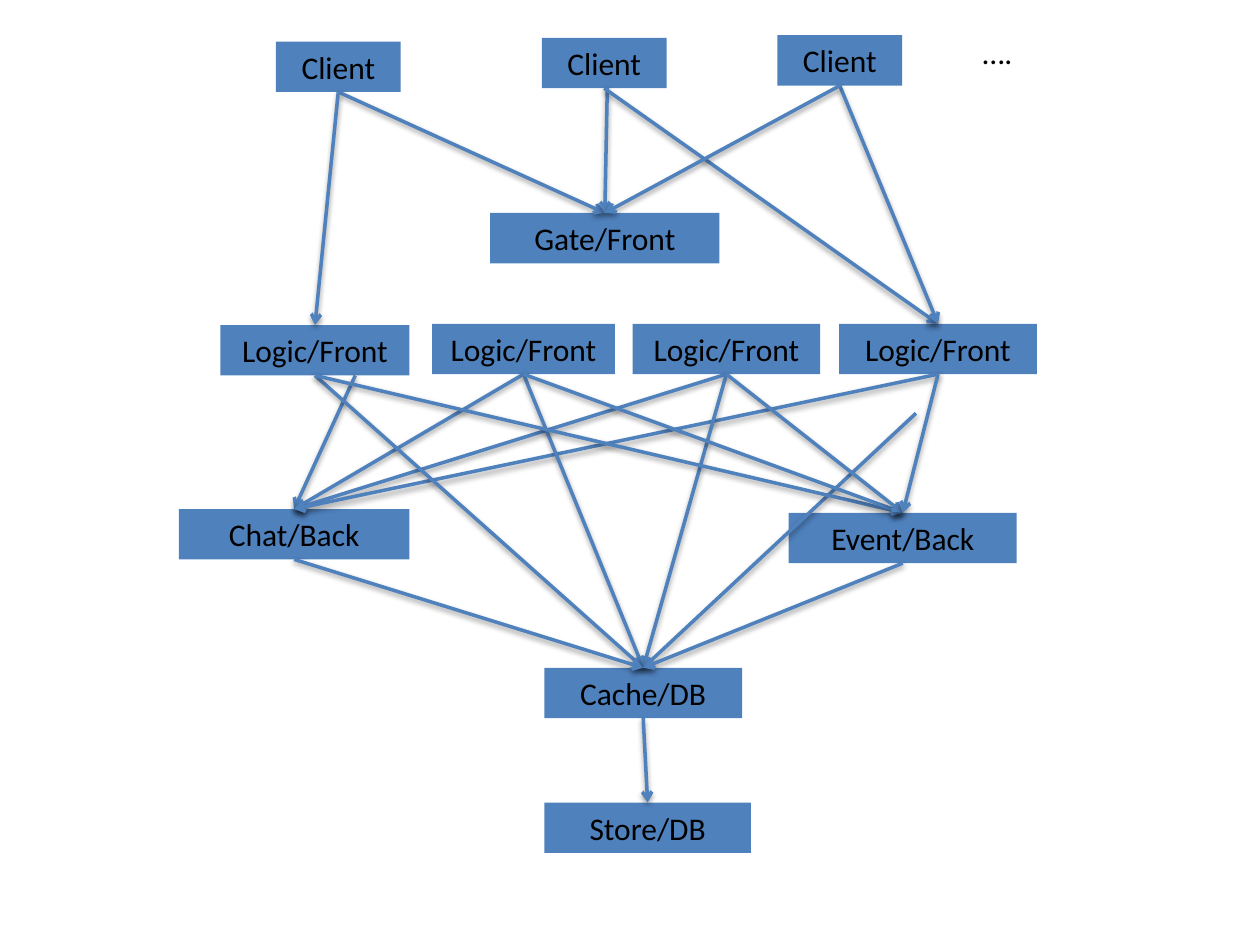
from lxml.etree import SubElement as Sub
from pptx import Presentation
from pptx.dml.color import RGBColor
from pptx.enum.shapes import MSO_CONNECTOR as Conn, MSO_SHAPE as Kind
from pptx.enum.text import MSO_ANCHOR as Anchor, MSO_AUTO_SIZE as Auto, PP_ALIGN as Align
from pptx.oxml.ns import qn
from pptx.util import Inches, Pt

BLUE, BLACK = "4F81BD", "000000"
HIGH = 0.4
FONT = {"name": "Calibri", "size": Pt(18)}
FRAME = {"auto_size": Auto.SHAPE_TO_FIT_TEXT, "vertical_anchor": Anchor.TOP}
SHADE = {"blurRad": "40000", "dist": "20000", "dir": "5400000", "rotWithShape": "0"}

TIERS = {
    "Client": [(2.19, 0.33, 0.99), (4.3, 0.3, 0.99), (6.17, 0.28, 0.99)],
    "Gate/Front": [(3.89, 1.69, 1.82)],
    "Logic/Front": [(1.75, 2.58, 1.5), (3.43, 2.57, 1.45), (5.02, 2.57, 1.49), (6.66, 2.57, 1.57)],
    "Chat/Back": [(1.42, 4.04, 1.83)],
    "Event/Back": [(6.26, 4.07, 1.81)],
    "Cache/DB": [(4.32, 5.3, 1.57)],
    "Store/DB": [(4.32, 6.37, 1.64)],
}


def paint(hue):
    return RGBColor.from_string(hue)


def write(shape, text, align, wrap):
    frame = shape.text_frame
    for key, value in {**FRAME, "word_wrap": wrap}.items():
        setattr(frame, key, value)
    para = frame.paragraphs[0]
    para.alignment = align
    run = para.add_run()
    run.text = text
    for key, value in FONT.items():
        setattr(run.font, key, value)
    run.font.color.rgb = paint(BLACK)


def node(slide, text, left, top, width):
    shape = slide.shapes.add_shape(
        Kind.RECTANGLE, Inches(left), Inches(top), Inches(width), Inches(HIGH))
    shape.shadow.inherit = False
    shape.fill.solid()
    shape.fill.fore_color.rgb = paint(BLUE)
    shape.line.fill.background()
    write(shape, text, Align.CENTER, True)
    return shape


def tier(slide, text, boxes):
    return [node(slide, text, *box) for box in boxes]


def more(slide, left, top, width):
    box = slide.shapes.add_textbox(Inches(left), Inches(top), Inches(width), Inches(HIGH))
    write(box, "….", Align.LEFT, False)


def link(slide, start, goal):
    fixed = isinstance(start, tuple)
    x, y = start if fixed else (0, 0)
    wire = slide.shapes.add_connector(Conn.STRAIGHT, Inches(x), Inches(y), 0, 0)
    if not fixed:
        wire.begin_connect(start, 2)
    wire.end_connect(goal, 0)
    wire.line.color.rgb = paint(BLUE)
    wire.line.width = Pt(2)
    Sub(wire.line._get_or_add_ln(), qn("a:tailEnd"), type="arrow")
    effects = Sub(wire._element.spPr, qn("a:effectLst"))
    shadow = Sub(effects, qn("a:outerShdw"), **SHADE)
    tone = Sub(shadow, qn("a:srgbClr"), val=BLACK)
    Sub(tone, qn("a:alpha"), val="38000")


def wires(slide, clients, gate, logic, chat, event, cache, store):
    first, second, third = clients
    pairs = [(first, gate), (first, logic[0]), ((4.82, 0.7), gate),
             (second, logic[3]), (third, logic[3]), (third, gate)]
    pairs += [(start, chat) for start in [(2.82, 2.98), *logic[1:]]]
    pairs += [(start, cache) for start in [*logic[:3], (7.27, 3.28), chat, event]]
    pairs += [(start, event) for start in logic]
    pairs += [(cache, store)]
    for start, goal in pairs:
        link(slide, start, goal)


def main():
    deck = Presentation()
    deck.slide_width, deck.slide_height = Inches(10), Inches(7.5)
    slide = deck.slides.add_slide(deck.slide_layouts[6])
    rows = [tier(slide, text, boxes) for text, boxes in TIERS.items()]
    more(slide, 7.7, 0.21, 0.44)
    clients, [gate], logic, [chat], [event], [cache], [store] = rows
    wires(slide, clients, gate, logic, chat, event, cache, store)
    deck.save("out.pptx")


if __name__ == "__main__":
    main()
